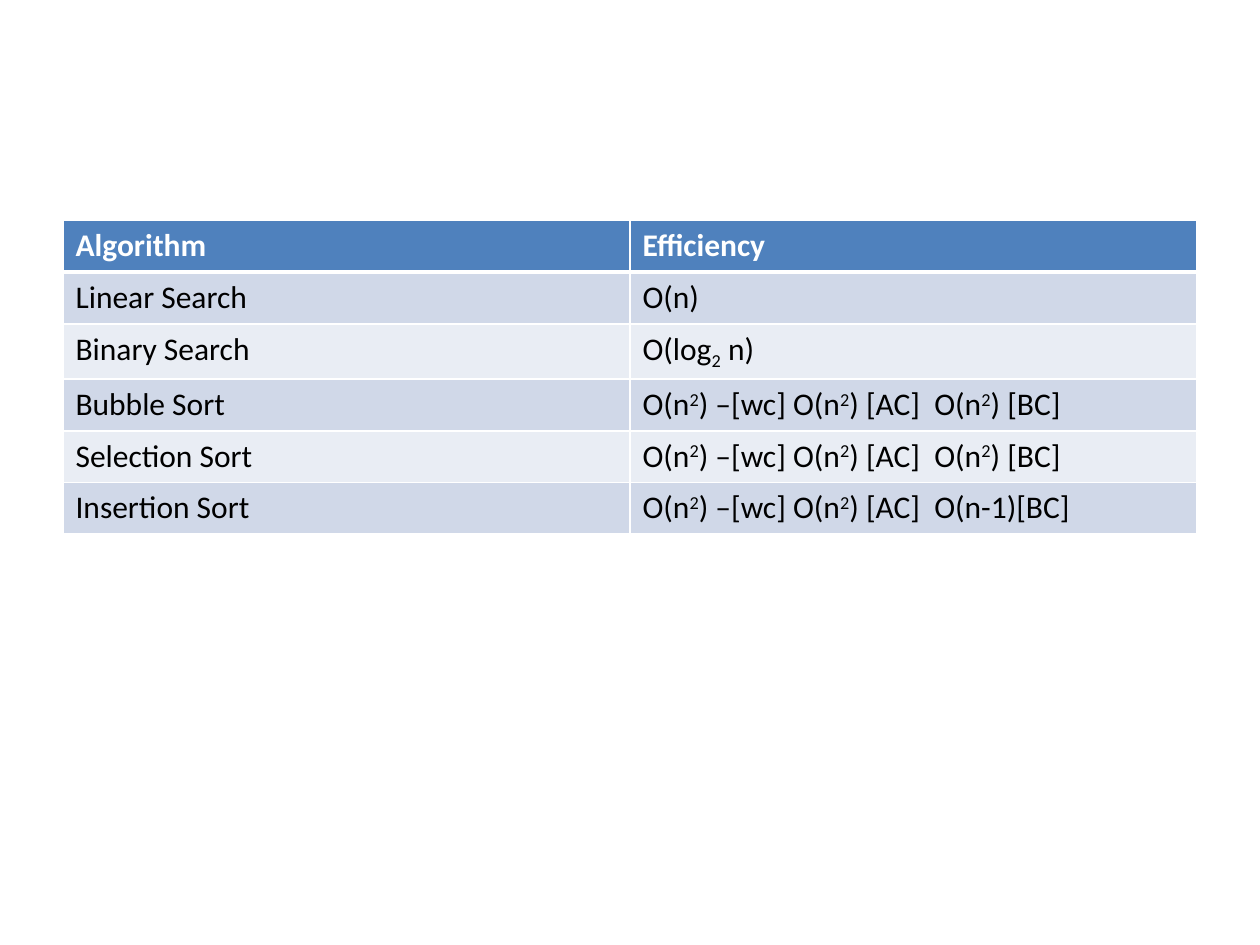
from lxml import etree
from pptx import Presentation
from pptx.dml.color import RGBColor
from pptx.oxml.ns import qn
from pptx.util import Inches, Pt

SQUARED = ("2", 30)
QUADRATIC = [("O(n", 0), SQUARED, (") –[wc] O(n", 0), SQUARED]
QUADRATIC_BEST = QUADRATIC + [(") [AC]  O(n", 0), SQUARED, (") [BC]", 0)]
LINEAR_BEST = QUADRATIC + [(") [AC]  O(n-1)[BC]", 0)]

ROWS = [
    ("Algorithm", [("Efficiency", 0)]),
    ("Linear Search", [("O(n)", 0)]),
    ("Binary Search", [("O(log", 0), ("2", -25), (" n)", 0)]),
    ("Bubble Sort", QUADRATIC_BEST),
    ("Selection Sort", QUADRATIC_BEST),
    ("Insertion Sort", LINEAR_BEST),
]
HEADER, BANDS = "4F81BD", ("E9EDF4", "D0D8E8")
WHITE, BLACK = "FFFFFF", "000000"
COL_W, ROW_H = 4.5, 0.41


def rgb(value):
    return RGBColor.from_string(value)


def write(cell, runs, size=18, font="Calibri", color=BLACK, bold=False):
    p = cell.text_frame.paragraphs[0]
    for text, baseline in runs:
        r = p.add_run()
        r.text = text
        r.font.size, r.font.name, r.font.bold = Pt(size), font, bold
        r.font.color.rgb = rgb(color)
        if baseline:
            r.font._element.set("baseline", str(baseline * 1000))


def border(cell, color=WHITE, **widths):
    tc_pr = cell._tc.get_or_add_tcPr()
    for side in "LRTB":
        ln = etree.SubElement(tc_pr, qn("a:ln" + side), w=str(Pt(widths.get(side, 1))))
        fill = etree.SubElement(ln, qn("a:solidFill"))
        etree.SubElement(fill, qn("a:srgbClr"), val=color)


prs = Presentation()
prs.slide_width, prs.slide_height = Inches(10), Inches(7.5)
s = prs.slides.add_slide(prs.slide_layouts[6])
table = s.shapes.add_table(
    len(ROWS), 2, Inches(0.5), Inches(1.75), Inches(2 * COL_W), Inches(len(ROWS) * ROW_H)
).table

for i, (algorithm, efficiency) in enumerate(ROWS):
    table.rows[i].height = Inches(ROW_H)
    header = i == 0
    for j, runs in enumerate(([(algorithm, 0)], efficiency)):
        cell = table.cell(i, j)
        write(cell, runs, color=WHITE if header else BLACK, bold=header)
        border(cell, T=3 if i == 1 else 1, B=3 if header else 1)
        cell.fill.solid()
        cell.fill.fore_color.rgb = rgb(HEADER if header else BANDS[i % 2])

prs.save("out.pptx")
